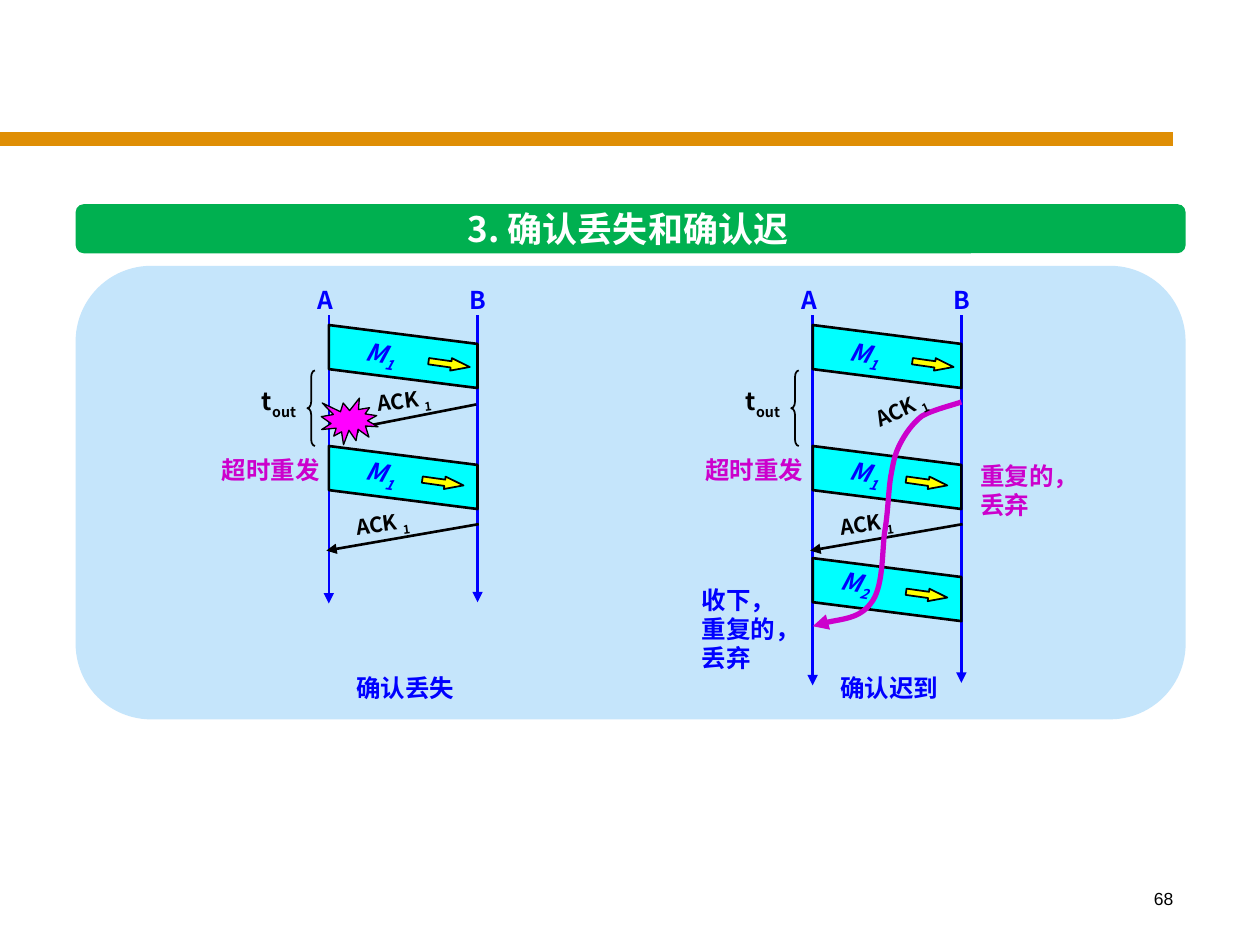
from lxml import etree
from pptx import Presentation
from pptx.dml.color import RGBColor
from pptx.enum import shapes as es, text as et
from pptx.oxml.ns import qn
from pptx.util import Inches, Pt

HUE = {"bar": "DF8E05", "head": "00B050", "panel": "C5E5FB", "blue": "0000FF",
       "band": "00FFFF", "arrow": "FFFF00", "burst": "FF00FF", "late": "CC00CC",
       "black": "000000", "white": "FFFFFF"}
FONT = "Noto Sans CJK SC"
KIND = es.MSO_SHAPE
LEFT, RIGHT = 2.61, 3.79  # time lines of A and B in the first diagram
DROP, DEEP = 0.15, 0.35   # slope and height of a message band

# Each diagram: shift, ends of both time lines, caption
# Bands: top, label, label left, label drop, arrow left, arrow drop
FIRST = (2.58, "1", 2.8, 0.09, 3.4, 0.26)
AGAIN = (3.54, "1", 2.8, 0.08, 3.35, 0.24)
THIRD = (4.43, "2", 2.73, 0.06, 3.35, 0.24)
PLANS = [
    {"dx": 0, "ends": (4.79, 4.78), "name": "确认丢失", "bands": [FIRST, AGAIN]},
    {"dx": 3.84, "ends": (5.44, 5.42), "name": "确认迟到",
     "bands": [FIRST, AGAIN, THIRD]},
]
# Start point, then three points for each Bezier piece
CURVE = [(7.63, 3.19),
         (7.58, 3.21), (7.41, 3.25), (7.32, 3.3),
         (7.24, 3.36), (7.18, 3.45), (7.14, 3.53),
         (7.1, 3.61), (7.09, 3.67), (7.07, 3.78),
         (7.05, 3.9), (7.05, 4.06), (7.02, 4.23),
         (7, 4.4), (7.01, 4.67), (6.91, 4.79),
         (6.82, 4.91), (6.55, 4.93), (6.45, 4.97)]

prs = Presentation()
prs.slide_width, prs.slide_height = Inches(10), Inches(7.5)
slide = prs.slides.add_slide(prs.slide_layouts[5])
tree = slide.shapes


def rgb(hue):
    return RGBColor.from_string(HUE[hue])


def paint(shape, fill=None, line=None, width=1.0):
    shape.shadow.inherit = False
    if fill:
        shape.fill.solid()
        shape.fill.fore_color.rgb = rgb(fill)
    else:
        shape.fill.background()
    if line:
        shape.line.color.rgb = rgb(line)
        shape.line.width = Pt(width)
    else:
        shape.line.fill.background()
    return shape


def block(kind, at, fill=None, line=None, width=1.0, adj=(), turn=0):
    shape = tree.add_shape(kind, *map(Inches, at))
    for i, val in enumerate(adj):
        shape.adjustments[i] = val
    shape.rotation = turn
    return paint(shape, fill, line, width)


def tip(shape):
    etree.SubElement(shape.line._get_or_add_ln(), qn("a:tailEnd"), type="triangle")


def link(start, end, hue, width=1.5, head=True):
    line = tree.add_connector(es.MSO_CONNECTOR.STRAIGHT, *map(Inches, start + end))
    line.line.color.rgb = rgb(hue)
    line.line.width = Pt(width)
    if head:
        tip(line)
    etree.SubElement(line._element.spPr, qn("a:effectLst"))


def draw(points, close):
    pen = tree.build_freeform(*map(Inches, points[0]))
    pen.add_line_segments([tuple(map(Inches, p)) for p in points[1:]], close=close)
    return pen.convert_to_shape()


def write(frame, lines, size, hue, sub="", wrap=False, slant=None):
    """Fill a frame with bold lines; sub follows the last one as a subscript."""
    frame.word_wrap = wrap
    frame.vertical_anchor = et.MSO_ANCHOR.TOP
    for i, line in enumerate(lines):
        para = frame.paragraphs[0] if i == 0 else frame.add_paragraph()
        para.line_spacing = Pt(size * 1.2)
        low = sub if i == len(lines) - 1 else ""
        for part in filter(None, (line, low)):
            run = para.add_run()
            run.text = part
            font = run.font
            font.name, font.size, font.bold, font.italic = FONT, Pt(size), True, slant
            font.color.rgb = rgb(hue)
            props = run._r.get_or_add_rPr()
            etree.SubElement(props, qn("a:ea"), typeface=FONT)
            if part is low:
                props.set("baseline", "-25000")


def label(at, lines, hue, size=14, turn=0, **more):
    box = tree.add_textbox(*map(Inches, at))
    box.rotation = turn
    write(box.text_frame, lines, size, hue, **more)


def ack(x, y, turn=-7.2):
    label((x, y, 0.67, 0.3), ["ACK "], "black", 12, turn, sub="1")


def band(dx, top, num, tx, ty, ax, ay):
    a, b = LEFT + dx, RIGHT + dx
    paint(draw([(a, top), (b, top + DROP), (b, top + DROP + DEEP), (a, top + DEEP)],
               True), "band", "black", 1.5)
    block(KIND.RIGHT_ARROW, (ax + dx, top + ay, 0.33, 0.1), "arrow", "black",
          adj=(0.5, 1.5), turn=8)
    label((tx + dx, top + ty, 0.48, 0.33), ["M"], "blue", turn=9, sub=num, slant=True)


def diagram(dx, ends, name, bands):
    for x, end in zip((LEFT, RIGHT), ends):
        link((x + dx, 2.5), (x + dx, end), "blue")
    for x, host in ((2.42, "A"), (3.63, "B")):
        label((x + dx, 2.21, 0.34, 0.33), [host], "blue")
    for row in bands:
        band(dx, *row)
    label((2.73 + dx, 5.29, 0.98, 0.34), [name], "blue")
    link((3.8 + dx, 4.16), (2.59 + dx, 4.37), "black")
    ack(2.73 + dx, 4.03)
    label((1.66 + dx, 3.56, 0.98, 0.34), ["超时重发"], "late")
    block(KIND.LEFT_BRACE, (2.44 + dx, 2.94, 0.06, 0.6), line="black", adj=(0.869, 0.5))
    label((1.98 + dx, 3.05, 0.5, 0.34), ["t"], "black", sub="out")


def bend(points):
    """Draw a curve: every three line pieces become one Bezier piece."""
    shape = paint(draw(points, False), None, "late", 3)
    steps = list(shape._element.iter(qn("a:lnTo")))
    for i in range(0, len(steps), 3):
        piece = etree.Element(qn("a:cubicBezTo"))
        steps[i].addprevious(piece)
        for step in steps[i:i + 3]:
            piece.append(step[0])
            step.getparent().remove(step)
    tip(shape)


link((0, 1.1), (9.31, 1.1), "bar", 8, False)
page = tree.add_textbox(*map(Inches, (7.33, 7, 2.08, 0.5))).text_frame.paragraphs[0]
page.alignment = et.PP_ALIGN.RIGHT
num = page.add_run()
num.text = "68"
num.font.name, num.font.size = "Arial", Pt(10)
num.font.color.rgb = rgb("black")

block(KIND.ROUNDED_RECTANGLE, (0.6, 1.62, 8.81, 0.39), "head", adj=(0.167,))
title = tree.title
title.left, title.top, title.width, title.height = map(Inches, (3.47, 1.6, 3.03, 0.44))
write(title.text_frame, ["3. 确认丢失和确认迟"], 20, "white")
title.text_frame.paragraphs[0].alignment = et.PP_ALIGN.CENTER
title._element.getparent().append(title._element)  # bring in front of its bar
block(KIND.ROUNDED_RECTANGLE, (0.6, 2.11, 8.81, 3.6), "panel")

for plan in PLANS:
    diagram(**plan)

# Lost acknowledgement
link((3.78, 3.21), (2.76, 3.41), "black")
ack(2.9, 3.05)
block(KIND.EXPLOSION1, (2.55, 3.16, 0.45, 0.37), "burst", "black", 0.75)

# Late acknowledgement
label((5.47, 4.59, 1.05, 0.81), ["收下，", "重复的，", "丢弃"], "blue", wrap=True)
bend(CURVE)
ack(6.85, 3.11, -24.7)
label((7.68, 3.61, 0.92, 0.57), ["重复的，", "丢弃"], "late", wrap=True)

prs.save("out.pptx")
